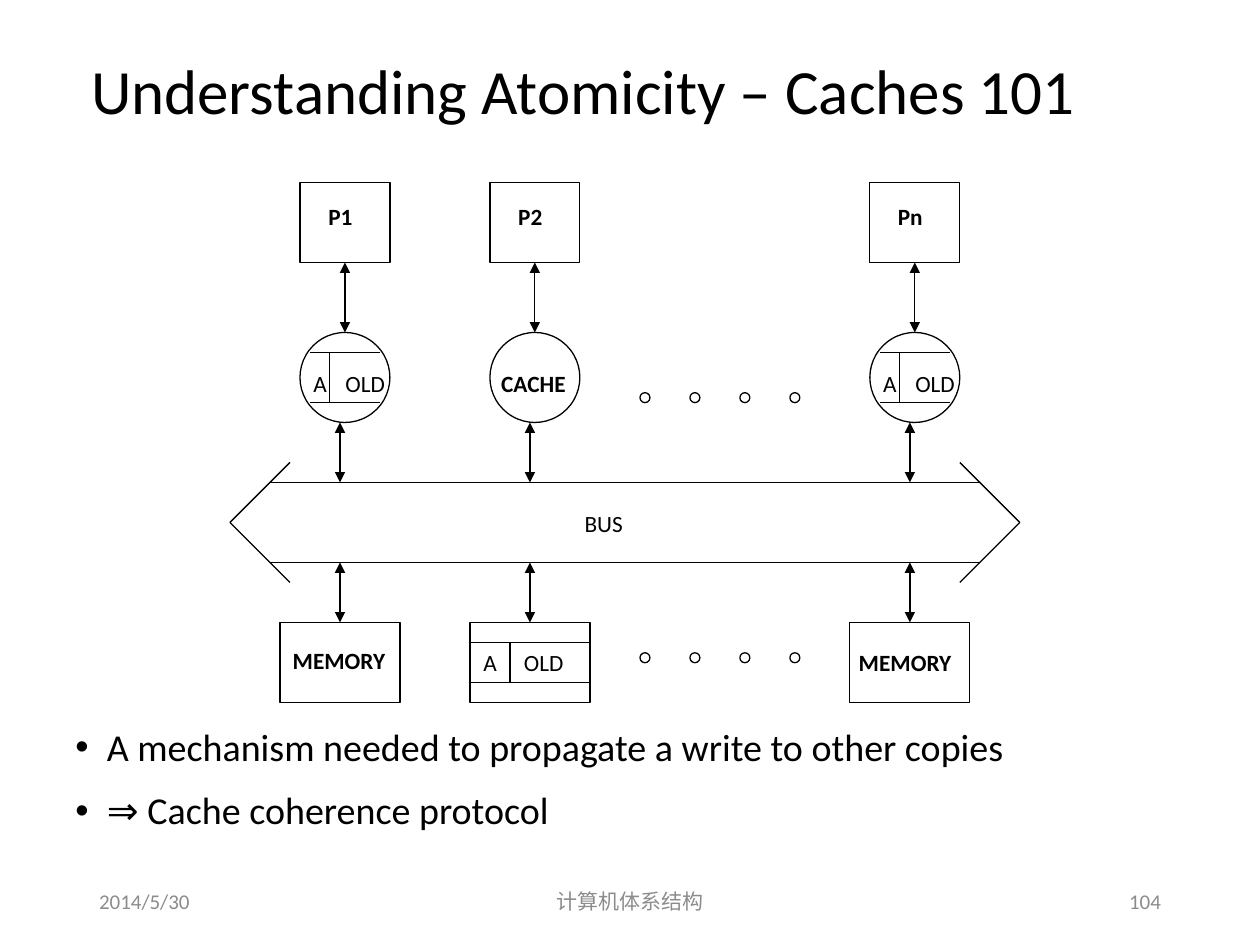
from pptx import Presentation
from pptx.dml.color import RGBColor
from pptx.enum import shapes, text
from pptx.oxml.ns import qn
from pptx.util import Pt
from lxml import etree

# Content
TITLE = "Understanding Atomicity – Caches 101"
BULLETS = ["A mechanism needed to propagate a write to other copies",
           "⇒ Cache coherence protocol"]
RECORD = ("A", "OLD")
# (grid position, processor, cache label or record, memory label or record, memory label shift)
COLUMNS = [(0, "P1", RECORD, "MEMORY", (-0.6, -1.3)),
           (1, "P2", "CACHE", RECORD, (0, 0)),
           (3, "Pn", RECORD, "MEMORY", (-2.8, 0))]
FOOTERS = [("2014/5/30", 49.5, 162, "LEFT"),
           ("计算机体系结构", 238.5, 243, "CENTER"),
           ("104", 508.5, 162, "RIGHT")]
COLORS = {"ink": "000000", "footer": "8C8C8C"}
FONT = "Calibri"

# Layout, in points
COLUMN_LEFT, COLUMN_PITCH = 171.4, 108.55
PROCESSOR_TOP, CACHE_TOP, MEMORY_TOP = 104.3, 190, 355.7
NODE_WIDTH, BOX_HEIGHT, MEMORY_WIDTH = 51.4, 45.7, 68.6
BUS_TOP, BUS_BOTTOM, BUS_LEFT, BUS_RIGHT = 275.7, 321.4, 131.4, 582.8
HEAD, BARB = 22.9, 34.3
DOT_LEFT, DOT_PITCH, DOT_SIZE = 365.7, 28.55, 5.7
LABEL_HEIGHT = 23
LABEL_WIDTHS = {"A": 23, "OLD": 39, "BUS": 39, "CACHE": 55, "MEMORY": 71}
DEFAULT_LABEL_WIDTH = 32

presentation = Presentation()
presentation.slide_width, presentation.slide_height = Pt(720), Pt(540)
slide = presentation.slides.add_slide(presentation.slide_layouts[6])


def add_text(lines, left, top, width, height, size, align="LEFT", color="ink",
             bold=False, wrap=True, anchor="MIDDLE"):
    box = slide.shapes.add_textbox(Pt(left), Pt(top), Pt(width), Pt(height))
    frame = box.text_frame
    frame.text = "\n".join(lines)
    frame.word_wrap = wrap
    if not wrap:
        frame.auto_size = text.MSO_AUTO_SIZE.SHAPE_TO_FIT_TEXT
    frame.vertical_anchor = getattr(text.MSO_ANCHOR, anchor)
    for paragraph in frame.paragraphs:
        paragraph.alignment = getattr(text.PP_ALIGN, align)
        for run in paragraph.runs:
            run.font.name, run.font.size, run.font.bold = FONT, Pt(size), bold
            run.font.color.rgb = RGBColor.from_string(COLORS[color])
    return frame


def add_label(label, center_x, center_y, bold=False):
    width = LABEL_WIDTHS.get(label, DEFAULT_LABEL_WIDTH)
    add_text([label], center_x - width / 2, center_y - LABEL_HEIGHT / 2, width,
             LABEL_HEIGHT, 13.3, "CENTER", bold=bold, wrap=False)


def add_outline(kind, left, top, width, height):
    shape = slide.shapes.add_shape(getattr(shapes.MSO_SHAPE, kind),
                                   Pt(left), Pt(top), Pt(width), Pt(height))
    shape.shadow.inherit = False
    shape.fill.background()
    shape.line.color.rgb = RGBColor.from_string(COLORS["ink"])
    shape.line.width = Pt(0.75)
    return shape


def add_line(x1, y1, x2, y2, arrows=False):
    line = slide.shapes.add_connector(shapes.MSO_CONNECTOR.STRAIGHT,
                                      Pt(x1), Pt(y1), Pt(x2), Pt(y2))
    line.line.color.rgb = RGBColor.from_string(COLORS["ink"])
    line.line.width = Pt(0.75)
    properties = line._element.spPr
    if arrows:
        for end in ("a:headEnd", "a:tailEnd"):
            etree.SubElement(properties.find(qn("a:ln")), qn(end), type="triangle")
    etree.SubElement(properties, qn("a:effectLst"))
    return line


def add_record(record, left, right, top, bottom, divider, label_centers, label_y):
    for y in (top, bottom):
        add_line(left, y, right, y)
    add_line(divider, top, divider, bottom)
    for label, x in zip(record, label_centers):
        add_label(label, x, label_y)


# Title and bullets
title = add_text([TITLE], 45, 18.7, 621, 70.5, 36)
title.paragraphs[0].line_spacing = 0.9
body = add_text(BULLETS, 36, 412.6, 648, 74, 21.7, anchor="TOP")
for index, paragraph in enumerate(body.paragraphs):
    paragraph.line_spacing = 0.9
    paragraph.space_before = Pt(13 if index else 0)
    properties = paragraph._p.get_or_add_pPr()
    properties.set("marL", str(Pt(18)))
    properties.set("indent", str(-Pt(18)))
    etree.SubElement(properties, qn("a:buFont"), typeface="Arial")
    etree.SubElement(properties, qn("a:buChar"), char="•")

# Bus: two rails and an open arrowhead at each end
for y in (BUS_TOP, BUS_BOTTOM):
    add_line(BUS_LEFT + HEAD, y, BUS_RIGHT - HEAD, y)
bus_middle = (BUS_TOP + BUS_BOTTOM) / 2
for tip, direction in ((BUS_LEFT, 1), (BUS_RIGHT, -1)):
    for side in (-1, 1):
        add_line(tip, bus_middle, tip + direction * BARB, bus_middle + side * BARB)
add_label("BUS", 345, bus_middle + 0.3)

# Columns: processor, cache, bus links, memory
for position, processor_name, cache_text, memory_text, (shift_x, shift_y) in COLUMNS:
    left = COLUMN_LEFT + position * COLUMN_PITCH
    center = left + NODE_WIDTH / 2
    bus_x = center - 2.8
    memory_left = bus_x - MEMORY_WIDTH / 2
    processor = add_outline("RECTANGLE", left, PROCESSOR_TOP, NODE_WIDTH, BOX_HEIGHT)
    cache = add_outline("OVAL", left, CACHE_TOP, NODE_WIDTH, NODE_WIDTH)
    memory = add_outline("RECTANGLE", memory_left, MEMORY_TOP, MEMORY_WIDTH, BOX_HEIGHT)

    link = add_line(center, PROCESSOR_TOP + BOX_HEIGHT, center, CACHE_TOP, True)
    link.begin_connect(processor, 2)
    link.end_connect(cache, 0)
    add_line(bus_x, CACHE_TOP + NODE_WIDTH, bus_x, BUS_TOP, True)
    link = add_line(bus_x, BUS_BOTTOM, bus_x, MEMORY_TOP, True)
    link.end_connect(memory, 0)

    add_label(processor_name, center - 2.6, PROCESSOR_TOP + 19.5, True)
    cache_y, memory_y = CACHE_TOP + 28.7, MEMORY_TOP + 22.7
    if cache_text == RECORD:
        add_record(RECORD, left + 5.7, left + 46, CACHE_TOP + 11.4, CACHE_TOP + 40,
                   left + 17.1, (left + 11.5, left + 37.3), cache_y)
    else:
        add_label(cache_text, center - 0.8, cache_y, True)
    if memory_text == RECORD:
        add_record(RECORD, memory_left, memory_left + MEMORY_WIDTH,
                   MEMORY_TOP + 11.4, MEMORY_TOP + 34.3, memory_left + 22.9,
                   (memory_left + 11.5, memory_left + 42.2), memory_y)
    else:
        add_label(memory_text, bus_x + shift_x, memory_y + shift_y, True)

# Ellipsis dots between columns
for top in (224.4, 373):
    for index in range(4):
        add_outline("OVAL", DOT_LEFT + index * DOT_PITCH, top, DOT_SIZE, DOT_SIZE)

# Footer
for footer, left, width, align in FOOTERS:
    add_text([footer], left, 500.5, width, 28.8, 12, align, "footer")

presentation.save("out.pptx")
